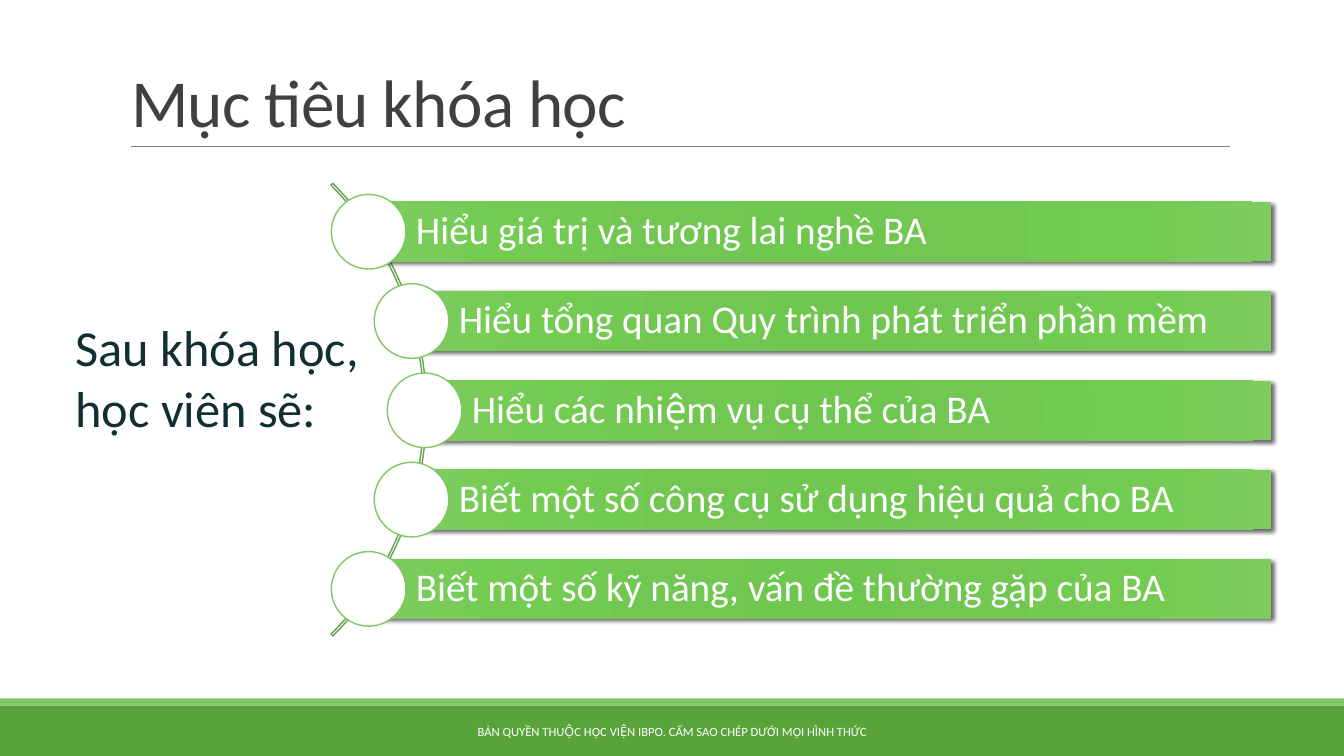
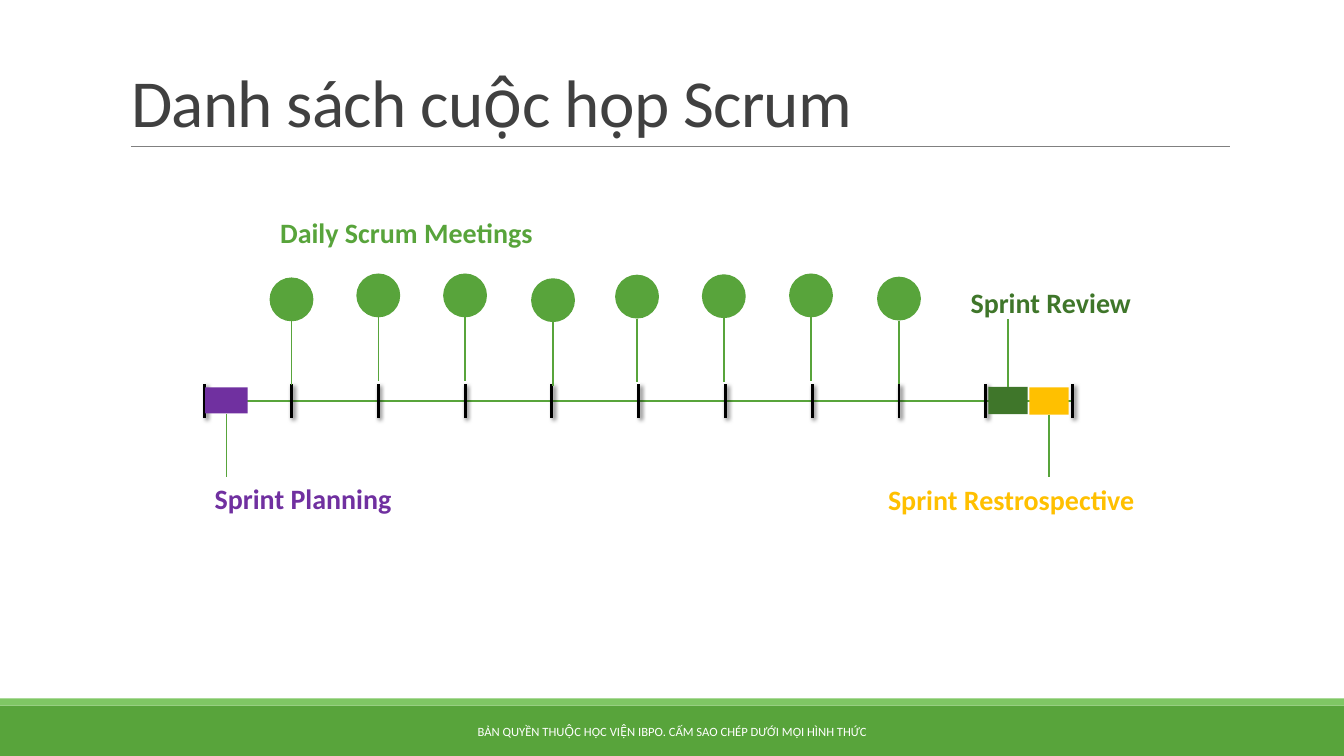
import math
from dataclasses import dataclass

import pptx
import pptx.dml.color
import pptx.enum.shapes
import pptx.enum.text
import pptx.oxml
import pptx.oxml.ns
import pptx.shapes.autoshape
import pptx.shapes.base
import pptx.shapes.connector
import pptx.slide
import pptx.text.text
import pptx.util

Cm = pptx.util.Cm
Pt = pptx.util.Pt
Kind = pptx.enum.shapes.MSO_SHAPE
Anchor = pptx.enum.text.MSO_ANCHOR
Align = pptx.enum.text.PP_ALIGN

FONT = "Calibri"
FOOTER = "BẢN QUYỀN THUỘC HỌC VIỆN IBPO. CẤM SAO CHÉP DƯỚI MỌI HÌNH THỨC"
COLORS = {
    "green": "58A43B",
    "light green": "7FC764",
    "dark green": "3F762A",
    "arc": "669F50",
    "rule": "808080",
    "title": "404040",
    "lead": "112F32",
    "purple": "7030A0",
    "amber": "FFC000",
    "white": "FFFFFF",
    "black": "000000",
}
BAR_STOPS = {0: "70C74F", 34: "72C752", 70: "73CC51", 100: "7DCC5F"}

# Code point of each combining tone mark: toned letters, then their bases
TONES = {
    0x0300: ("ÌỀ", "IÊ"),
    0x0301: ("áóÉẤỚỨ", "aoEÂƠƯ"),
    0x0303: ("ẽ", "e"),
    0x0309: ("ểủẢ", "êuA"),
    0x0323: ("ụọộệỌỘỆ", "uoôêOÔÊ"),
}
TONE_TABLE = {
    ord(letter): base + chr(mark)
    for mark, (letters, bases) in TONES.items()
    for letter, base in zip(letters, bases)
}


def split_tones(text: str) -> str:
    """Spell tones as combining marks, as Vietnamese keyboards type them."""
    return text.translate(TONE_TABLE)


GOALS = [
    "Hiểu giá trị và tương lai nghề BA",
    "Hiểu tổng quan Quy trình phát triển phần mềm",
    split_tones("Hiểu các nhiệm vụ cụ thể của BA"),
    "Biết một số công cụ sử dụng hiệu quả cho BA",
    "Biết một số kỹ năng, vấn đề thường gặp của BA",
]


@dataclass(frozen=True)
class Area:
    """A rectangle in centimetres."""
    left: float
    top: float
    width: float
    height: float

    def lengths(self) -> list[pptx.util.Length]:
        return [Cm(value) for value in (self.left, self.top, self.width, self.height)]


@dataclass(frozen=True)
class DailyMeeting:
    shift: float  # from its tick, in cm
    top: float


@dataclass(frozen=True)
class SprintEvent:
    name: str
    color: str
    block: Area
    label: Area
    stem_end: float
    stem_site: int


DAILY_MEETINGS = [
    DailyMeeting(0, 7.01), DailyMeeting(0, 6.91), DailyMeeting(0, 6.91),
    DailyMeeting(0.03, 7.03), DailyMeeting(-0.04, 6.94), DailyMeeting(-0.04, 6.93),
    DailyMeeting(-0.03, 6.91), DailyMeeting(0, 6.99),
]
SPRINT_EVENTS = [
    SprintEvent("Sprint Planning", "purple", Area(5.17, 9.76, 1.07, 0.66),
                Area(5.16, 12.01, 5.77, 1.12), 12.01, 2),
    SprintEvent("Sprint Restrospective", "amber", Area(25.94, 9.76, 0.99, 0.69),
                Area(22.13, 12.03, 7.87, 1.12), 12.01, 2),
    SprintEvent("Sprint Review", "dark green", Area(24.91, 9.75, 0.99, 0.69),
                Area(24.21, 7.07, 5.21, 1.12), 8.05, 0),
]


def rgb(color: str) -> pptx.dml.color.RGBColor:
    return pptx.dml.color.RGBColor.from_string(COLORS[color])


def set_effects(shape: pptx.shapes.base.BaseShape, shadowed: bool) -> None:
    """Replace the theme's shadow by none, or by a soft one to the lower right."""
    shadow = (
        f'<a:outerShdw blurRad="{Pt(3)}" dist="{Pt(2)}" dir="2700000" algn="tl">'
        f'<a:srgbClr val="{COLORS["black"]}"><a:alpha val="60000"/></a:srgbClr>'
        "</a:outerShdw>"
    )
    shape.element.spPr.append(pptx.oxml.parse_xml(
        f'<a:effectLst {pptx.oxml.ns.nsdecls("a")}>{shadow if shadowed else ""}</a:effectLst>'
    ))


def set_bar_gradient(shape: pptx.shapes.autoshape.Shape) -> None:
    stops = "".join(
        f'<a:gs pos="{percent * 1000}"><a:srgbClr val="{color}"/></a:gs>'
        for percent, color in BAR_STOPS.items()
    )
    shape.element.spPr.insert(2, pptx.oxml.parse_xml(
        f'<a:gradFill {pptx.oxml.ns.nsdecls("a")} rotWithShape="1"><a:gsLst>{stops}</a:gsLst>'
        '<a:path path="circle">'
        '<a:fillToRect l="100000" t="100000" r="100000" b="100000"/></a:path></a:gradFill>'
    ))


def add_figure(page: pptx.slide.Slide, kind: Kind, area: Area, fill: str | None = None,
               line: str | None = None, shadowed: bool = False) -> pptx.shapes.autoshape.Shape:
    """Add a preset shape; without a fill colour it gets the bar gradient."""
    shape = page.shapes.add_shape(kind, *area.lengths())
    if fill:
        shape.fill.solid()
        shape.fill.fore_color.rgb = rgb(fill)
    else:
        set_bar_gradient(shape)
    if line:
        shape.line.color.rgb = rgb(line)
        shape.line.width = Pt(1)
    else:
        shape.line.fill.background()
    set_effects(shape, shadowed)
    return shape


def add_line(page: pptx.slide.Slide, start: tuple[float, float], end: tuple[float, float],
             color: str = "green", width: float = 1,
             shadowed: bool = False) -> pptx.shapes.connector.Connector:
    line = page.shapes.add_connector(
        pptx.enum.shapes.MSO_CONNECTOR.STRAIGHT, *[Cm(value) for value in (*start, *end)])
    line.line.color.rgb = rgb(color)
    line.line.width = Pt(width)
    set_effects(line, shadowed)
    return line


def write(shape: pptx.shapes.base.BaseShape, text: str, size: float, color: str,
          bold: bool = False, align: Align = Align.LEFT) -> pptx.text.text._Paragraph:
    shape.text_frame.text = text
    para = shape.text_frame.paragraphs[0]
    para.alignment = align
    font = para.runs[0].font
    font.name, font.size, font.bold = FONT, Pt(size), bold
    font.color.rgb = rgb(color)
    return para


def add_label(page: pptx.slide.Slide, area: Area, text: str, color: str) -> None:
    box = page.shapes.add_textbox(*area.lengths())
    box.fill.solid()
    box.fill.fore_color.rgb = rgb("white")
    write(box, text, 20, color, bold=True)
    box.text_frame.word_wrap = False
    box.text_frame.auto_size = pptx.enum.text.MSO_AUTO_SIZE.SHAPE_TO_FIT_TEXT


def prepare_layout(deck: pptx.presentation.Presentation) -> pptx.slide.SlideLayout:
    """Keep only the title placeholder of the title layout, and place it."""
    layout = deck.slide_layouts.get_by_name("Title Only")
    for placeholder in list(layout.placeholders):
        if placeholder.placeholder_format.idx:
            placeholder.element.getparent().remove(placeholder.element)
        else:
            (placeholder.left, placeholder.top,
             placeholder.width, placeholder.height) = Area(3.05, 0.79, 27.94, 2.9).lengths()
    return layout


def decorate_layout(page: pptx.slide.Slide) -> None:
    """Draw the bands and the title rule, and move them to the page's layout."""
    decorations = [
        add_figure(page, Kind.RECTANGLE, Area(0, 17.78, 33.87, 1.27), "green"),
        add_figure(page, Kind.RECTANGLE, Area(0, 17.6, 33.87, 0.18), "light green"),
        add_line(page, (3.3, 3.69), (30.99, 3.69), "rule", 0.5),
    ]
    for position, shape in enumerate(decorations, start=2):
        page.slide_layout.shapes.element.insert(position, shape.element)


def write_title(page: pptx.slide.Slide, text: str) -> None:
    title = page.shapes.title
    para = write(title, split_tones(text), 48, "title")
    para.line_spacing = 0.85
    para.runs[0].font._element.set("spc", "-50")
    title.text_frame.vertical_anchor = Anchor.BOTTOM


def write_footer(page: pptx.slide.Slide) -> None:
    box = page.shapes.add_textbox(*Area(10.24, 17.93, 13.39, 1.02).lengths())
    write(box, split_tones(FOOTER), 9, "white", align=Align.CENTER)
    box.text_frame.word_wrap = True
    box.text_frame.vertical_anchor = Anchor.MIDDLE


def draw_goals(page: pptx.slide.Slide) -> None:
    """Draw one bar per goal, each starting on the arc."""
    middle, pitch, radius, center = 10.34, 2.25, 7.89, 2.81
    right, bar_height, diameter = 32.04, 1.5, 1.88

    arc = add_figure(page, Kind.BLOCK_ARC, Area(-5.38, 2.26, 16.13, 16.13), "white", "arc")
    arc.fill.background()
    for index, value in enumerate((189, 27, 0.004)):
        arc.adjustments[index] = value

    for row, goal in enumerate(GOALS):
        offset = (row - (len(GOALS) - 1) / 2) * pitch
        left = center + math.sqrt(radius ** 2 - offset ** 2)
        y = middle + offset
        bar = add_figure(page, Kind.RECTANGLE,
                         Area(left, y - bar_height / 2, right - left, bar_height), shadowed=True)
        write(bar, goal, 28, "white").line_spacing = 0.9
        frame = bar.text_frame
        frame.vertical_anchor = Anchor.MIDDLE
        frame.margin_left = Cm(1.19)
        frame.margin_top = frame.margin_right = frame.margin_bottom = Cm(0.2)
        add_figure(page, Kind.OVAL,
                   Area(left - diameter / 2, y - diameter / 2, diameter, diameter),
                   "white", "light green")

    lead = page.shapes.add_textbox(*Area(1.65, 7.85, 7.92, 3.33).lengths())
    write(lead, split_tones("Sau khóa học, học viên sẽ:"), 36, "lead")
    lead.text_frame.word_wrap = True


def draw_sprint(page: pptx.slide.Slide) -> None:
    start, end, y, days = 5.16, 27.03, 10.11, 10
    tick_half, diameter, stem_gap, stem_length = 0.43, 1.07, 0.02, 1.6
    ticks = [start + day * (end - start) / days for day in range(days + 1)]

    add_line(page, (start, y), (end, y), width=1.25)
    for x in ticks:
        add_line(page, (x, y + tick_half), (x, y - tick_half), "black", 2, shadowed=True)

    for tick, meeting in zip(ticks[1:], DAILY_MEETINGS):
        x = tick + meeting.shift
        add_figure(page, Kind.OVAL, Area(x - diameter / 2, meeting.top, diameter, diameter),
                   "green", "green")
        stem_top = meeting.top + diameter + stem_gap
        add_line(page, (x, stem_top), (x, stem_top + stem_length))
    add_label(page, Area(6.81, 5.31, 7.9, 1.12), "Daily Scrum Meetings", "green")

    for event in SPRINT_EVENTS:
        block = add_figure(page, Kind.RECTANGLE, event.block, event.color)
        add_label(page, event.label, event.name, event.color)
        x = event.block.left + event.block.width / 2
        stem = add_line(page, (x, event.block.top), (x, event.stem_end))
        stem.begin_connect(block, event.stem_site)


def main() -> None:
    deck = pptx.Presentation()
    deck.slide_width, deck.slide_height = Cm(33.87), Cm(19.05)
    layout = prepare_layout(deck)
    slides = {"Mục tiêu khóa học": draw_goals, "Danh sách cuộc họp Scrum": draw_sprint}
    for number, (title, draw_content) in enumerate(slides.items()):
        page = deck.slides.add_slide(layout)
        if number == 0:
            decorate_layout(page)
        write_title(page, title)
        draw_content(page)
        write_footer(page)
    deck.save("out.pptx")


if __name__ == "__main__":
    main()
